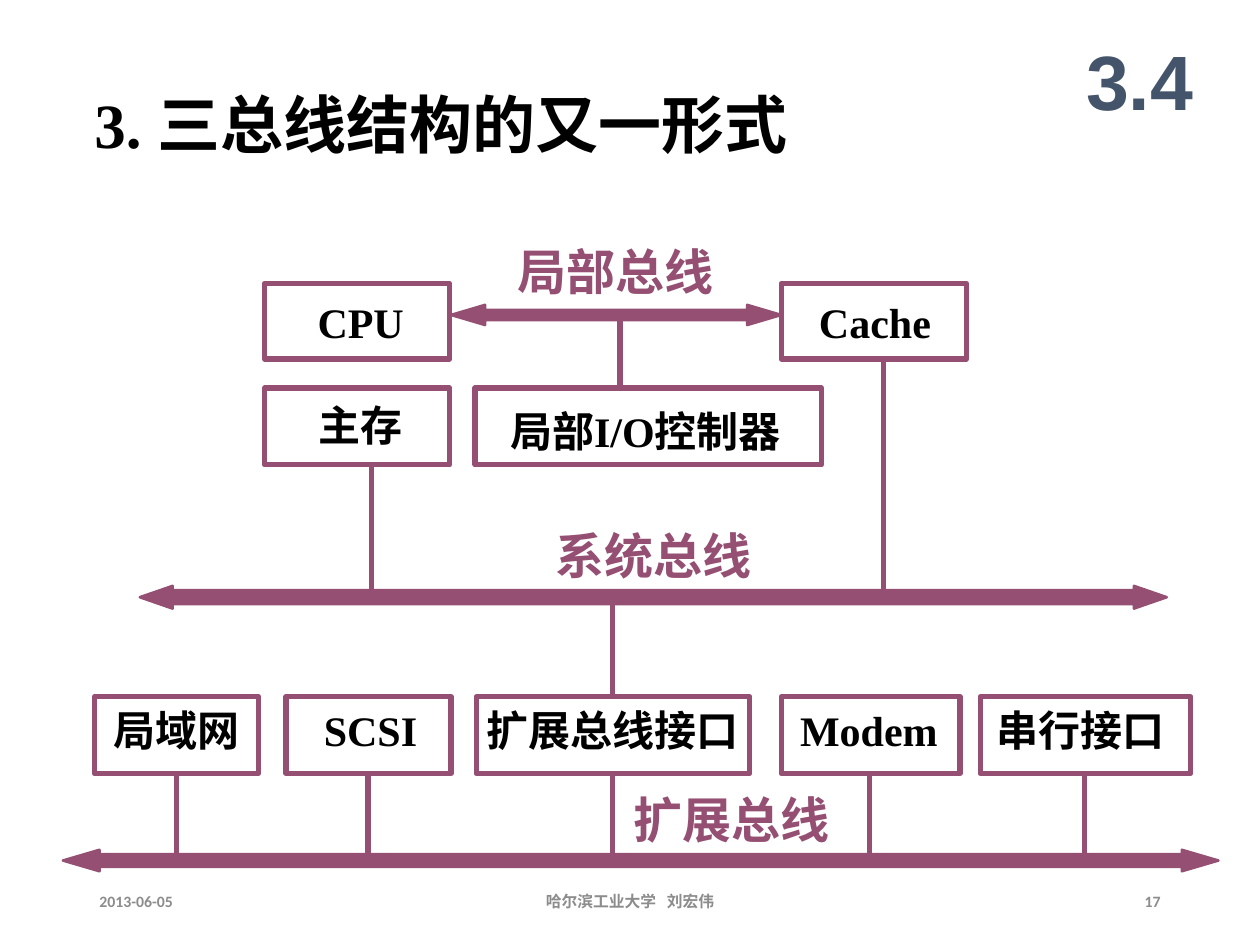
import pptx
import pptx.util
import pptx.dml.color
import pptx.enum.shapes
import pptx.enum.text
import pptx.oxml
import pptx.oxml.ns

Inches = pptx.util.Inches
Pt = pptx.util.Pt
ALIGN = pptx.enum.text.PP_ALIGN
ANCHOR = pptx.enum.text.MSO_ANCHOR
PLUM = "954F72"
BLACK = "000000"
GREY = "8C8C8C"
SERIF = "Times New Roman"
HAN = "Noto Sans CJK SC"


def paint(color_format, value):
    """Apply a hex colour to a fill or font colour."""
    color_format.rgb = pptx.dml.color.RGBColor.from_string(value)


def outline(shape, width):
    """Give a shape a plum line and no shadow."""
    shape.shadow.inherit = False
    paint(shape.line.color, PLUM)
    shape.line.width = Pt(width)


def add_label(slide, box, text, size, font, color, bold=True, wrap=True,
              inset=(0, 0), align=ALIGN.LEFT, anchor=ANCHOR.TOP):
    """Add one line of text in a box of left, top, width and height."""
    frame = slide.shapes.add_textbox(*map(Inches, box)).text_frame
    frame.word_wrap = wrap
    frame.vertical_anchor = anchor
    frame.margin_left = frame.margin_right = Inches(inset[0])
    frame.margin_top = frame.margin_bottom = Inches(inset[1])
    paragraph = frame.paragraphs[0]
    paragraph.text = text
    paragraph.alignment = align
    paragraph.font.size = Pt(size)
    paragraph.font.name = font
    paragraph.font.bold = bold
    paint(paragraph.font.color, color)


def add_unit(slide, box, text, text_box, font, inset=(0, 0)):
    """Add an outlined hardware unit and its name."""
    unit = slide.shapes.add_shape(
        pptx.enum.shapes.MSO_SHAPE.RECTANGLE, *map(Inches, box))
    unit.fill.background()
    outline(unit, 3)
    add_label(slide, text_box, text, 24, font, BLACK, inset=inset)


def add_bus(slide, left, right, middle, head, half_head, half_bar):
    """Add a double-headed bus arrow centred on a height."""
    start, end = left + head, right - head
    points = [(start, middle + half_head), (start, middle + half_bar),
              (end, middle + half_bar), (end, middle + half_head),
              (right, middle),
              (end, middle - half_head), (end, middle - half_bar),
              (start, middle - half_bar), (start, middle - half_head)]
    builder = slide.shapes.build_freeform(
        Inches(left), Inches(middle), scale=1.0)
    builder.add_line_segments([(Inches(x), Inches(y)) for x, y in points])
    bus = builder.convert_to_shape()
    bus.fill.solid()
    paint(bus.fill.fore_color, PLUM)
    outline(bus, 1.5)


def add_link(slide, x, top, bottom):
    """Add a vertical link between a unit and a bus."""
    link = slide.shapes.add_connector(
        pptx.enum.shapes.MSO_CONNECTOR.STRAIGHT,
        Inches(x), Inches(top), Inches(x), Inches(bottom))
    paint(link.line.color, PLUM)
    link.line.width = Pt(3)
    properties = link.element.find(pptx.oxml.ns.qn("p:spPr"))
    properties.append(pptx.oxml.parse_xml(
        "<a:effectLst %s/>" % pptx.oxml.ns.nsdecls("a")))


def main():
    """Build the three-bus structure slide."""
    deck = pptx.Presentation()
    deck.slide_width, deck.slide_height = Inches(10), Inches(7.5)
    slide = deck.slides.add_slide(deck.slide_layouts[6])

    add_label(slide, (0.65, 0.63, 5.7, 0.7), "3. 三总线结构的又一形式",
              36, SERIF, BLACK, inset=(0.1, 0.05))
    add_label(slide, (8.42, 0.17, 1.25, 0.92), "3.4", 44, "Arial", "44546A",
              inset=(0.1, 0.05), align=ALIGN.CENTER, anchor=ANCHOR.MIDDLE)

    for x, top, bottom in [(4.92, 2.5, 3.08), (2.95, 3.68, 4.76),
                           (7.01, 2.83, 4.75), (4.86, 4.76, 5.53)]:
        add_link(slide, x, top, bottom)
    for x in (1.4, 2.92, 4.86, 6.9, 8.61):
        add_link(slide, x, 6.14, 6.84)

    add_bus(slide, 3.58, 6.2, 2.5, 0.27, 0.08, 0.04)
    add_bus(slide, 1.11, 9.26, 4.74, 0.26, 0.09, 0.055)
    add_bus(slide, 0.5, 9.67, 6.83, 0.29, 0.085, 0.05)
    for left, top, name in [(4.11, 1.92, "局部总线"), (4.41, 4.17, "系统总线"),
                            (5.03, 6.27, "扩展总线")]:
        add_label(slide, (left, top, 1.56, 0.47), name, 28, HAN, PLUM,
                  wrap=False)

    for left, name, text_left, text_width in [
            (2.1, "CPU", 2.52, 1.31), (6.2, "Cache", 6.5, 1.5)]:
        add_unit(slide, (left, 2.25, 1.47, 0.6), name,
                 (text_left, 2.35, text_width, 0.4), SERIF)
    add_unit(slide, (2.1, 3.08, 1.47, 0.61), "主存",
             (2.53, 3.17, 1.39, 0.4), HAN)
    add_unit(slide, (3.77, 3.08, 2.75, 0.61), "局部I/O控制器",
             (3.95, 3.17, 3.55, 0.5), SERIF, inset=(0.1, 0.05))
    for left, width, name, text_left, text_width, font in [
            (0.75, 1.3, "局域网", 0.9, 1.52, HAN),
            (2.27, 1.31, "SCSI", 2.57, 1.18, SERIF),
            (3.78, 2.17, "扩展总线接口", 3.86, 2.89, HAN),
            (6.2, 1.42, "Modem", 6.35, 1.82, SERIF),
            (7.78, 1.67, "串行接口", 7.91, 2.17, HAN)]:
        add_unit(slide, (left, 5.53, width, 0.61), name,
                 (text_left, 5.59, text_width, 0.4), font)

    for left, width, text, align in [
            (0.69, 2.25, "2013-06-05", ALIGN.LEFT),
            (3.31, 3.38, "哈尔滨工业大学\u00a0 \u00a0刘宏伟".replace("\u00a0", " "), ALIGN.CENTER),
            (7.06, 2.25, "17", ALIGN.RIGHT)]:
        add_label(slide, (left, 6.95, width, 0.4), text, 9, "Calibri", GREY,
                  inset=(0.1, 0.05), align=align, anchor=ANCHOR.MIDDLE)

    deck.save("out.pptx")


if __name__ == "__main__":
    main()
